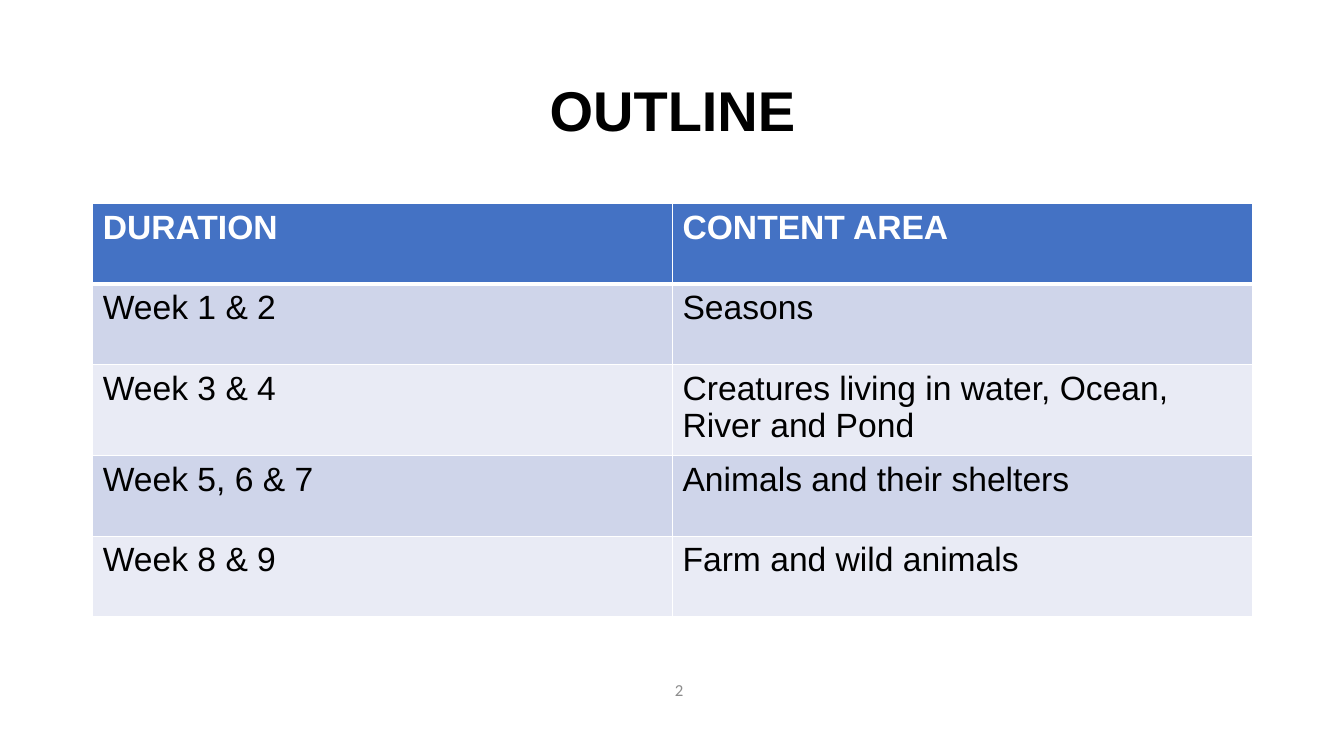
import pptx
import pptx.util
import pptx.dml.color
import pptx.enum.text
import pptx.oxml
import pptx.oxml.ns
from pptx.util import Inches

TITLE = "OUTLINE"
PAGE_NUMBER = "2"
ROWS = [
    ("DURATION", "CONTENT AREA"),
    ("Week 1 & 2", "Seasons"),
    ("Week 3 & 4", "Creatures living in water, Ocean, River and Pond"),
    ("Week 5, 6 & 7", "Animals and their shelters"),
    ("Week 8 & 9", "Farm and wild animals"),
]
HEADER_FILL = "4472C4"
BAND_FILLS = ("E9EBF5", "CFD5EA")
LEFT, WIDTH = 0.92, 11.5
TABLE_TOP, ROW_HEIGHT = 2.02, 0.8


def color(value):
    return pptx.dml.color.RGBColor.from_string(value)


def style(para, name, size, value, bold=False):
    para.font.name = name
    para.font.size = pptx.util.Pt(size)
    para.font.bold = bold
    para.font.color.rgb = color(value)


def add_text(page, place, text, name, size, value, bold=False):
    box = page.shapes.add_textbox(*(Inches(length) for length in place))
    frame = box.text_frame
    frame.word_wrap = True
    frame.vertical_anchor = pptx.enum.text.MSO_ANCHOR.MIDDLE
    para = frame.paragraphs[0]
    para.text = text
    para.alignment = pptx.enum.text.PP_ALIGN.CENTER
    style(para, name, size, value, bold)
    return para


def add_borders(cell, widths):
    properties = cell._tc.get_or_add_tcPr()
    namespace = pptx.oxml.ns.nsdecls("a")
    for index, (side, width) in enumerate(widths.items()):
        properties.insert(index, pptx.oxml.parse_xml(
            f'<a:{side} {namespace} w="{pptx.util.Pt(width)}"><a:solidFill>'
            f'<a:srgbClr val="FFFFFF"/></a:solidFill></a:{side}>'))


def add_outline_table(page):
    columns = len(ROWS[0])
    table = page.shapes.add_table(
        len(ROWS), columns, Inches(LEFT), Inches(TABLE_TOP),
        Inches(WIDTH), Inches(ROW_HEIGHT * len(ROWS))).table
    for row_index, texts in enumerate(ROWS):
        header = row_index == 0
        table.rows[row_index].height = Inches(ROW_HEIGHT)
        for column_index, text in enumerate(texts):
            cell = table.cell(row_index, column_index)
            cell.text = text
            style(cell.text_frame.paragraphs[0], "Arial", 24,
                  "FFFFFF" if header else "000000", header)
            cell.fill.solid()
            cell.fill.fore_color.rgb = color(
                HEADER_FILL if header else BAND_FILLS[row_index % 2])
            add_borders(cell, {"lnL": 1, "lnR": 1,
                               "lnT": 3 if row_index == 1 else 1,
                               "lnB": 3 if header else 1})


def main():
    deck = pptx.Presentation()
    deck.slide_width, deck.slide_height = Inches(13.33), Inches(7.5)
    page = deck.slides.add_slide(deck.slide_layouts[6])
    title = add_text(page, (LEFT, 0.4, WIDTH, 1.45), TITLE,
                     "Arial", 40, "000000", True)
    title.line_spacing = 0.9
    add_outline_table(page)
    add_text(page, (0.75, 6.33, 11.97, 1.02), PAGE_NUMBER,
             "Calibri", 12, "8C8C8C")
    deck.save("out.pptx")


if __name__ == "__main__":
    main()
